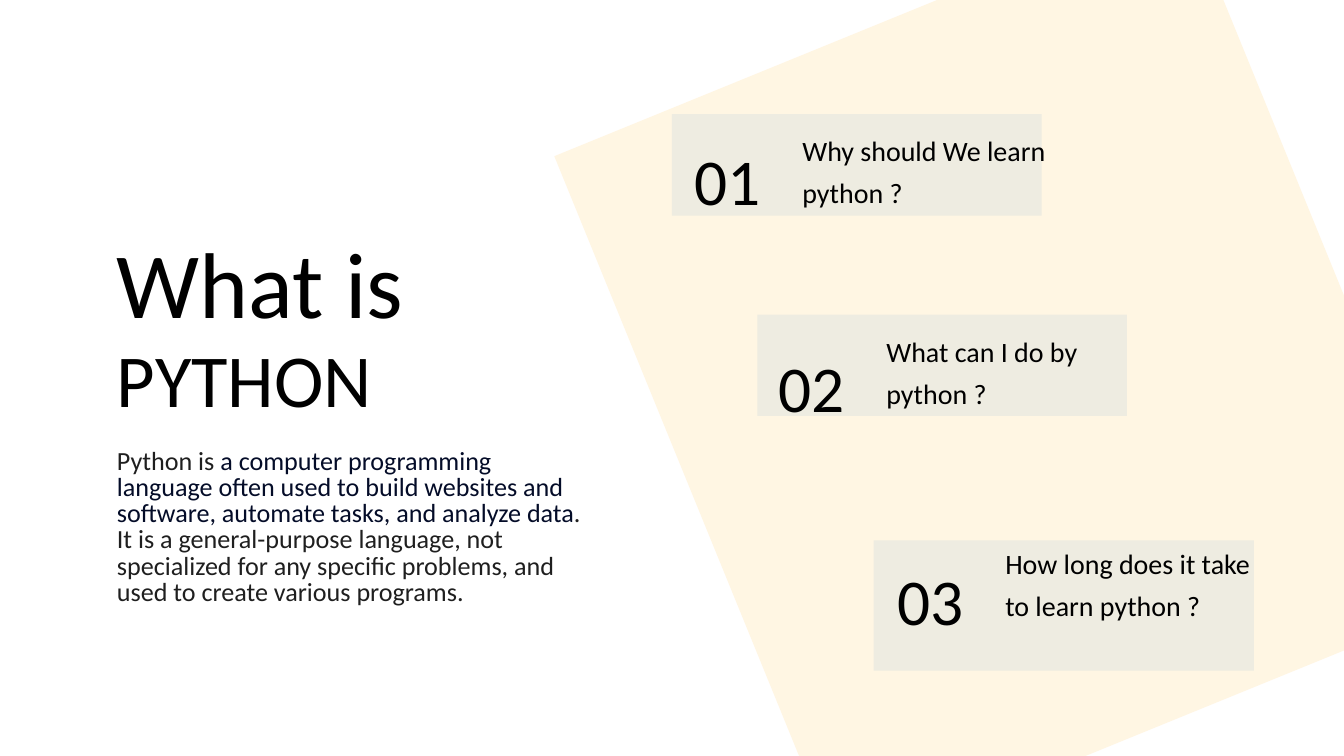
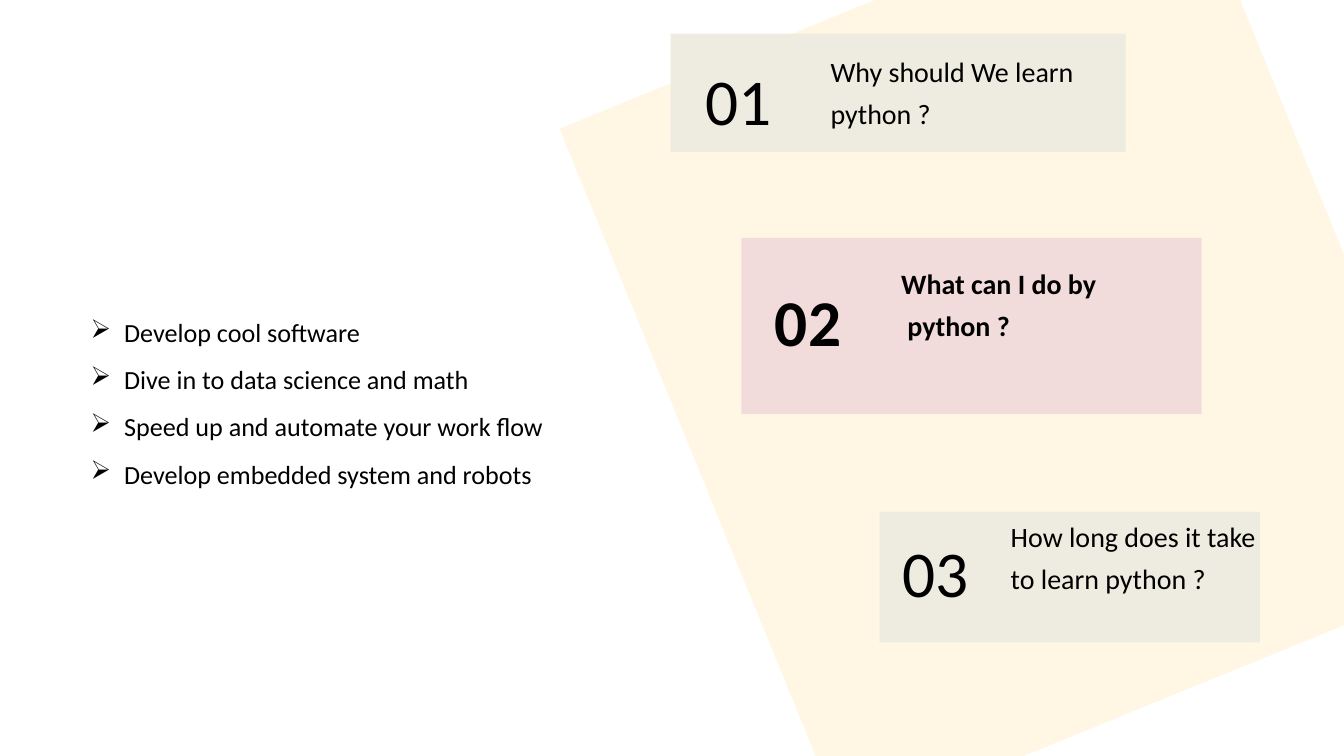
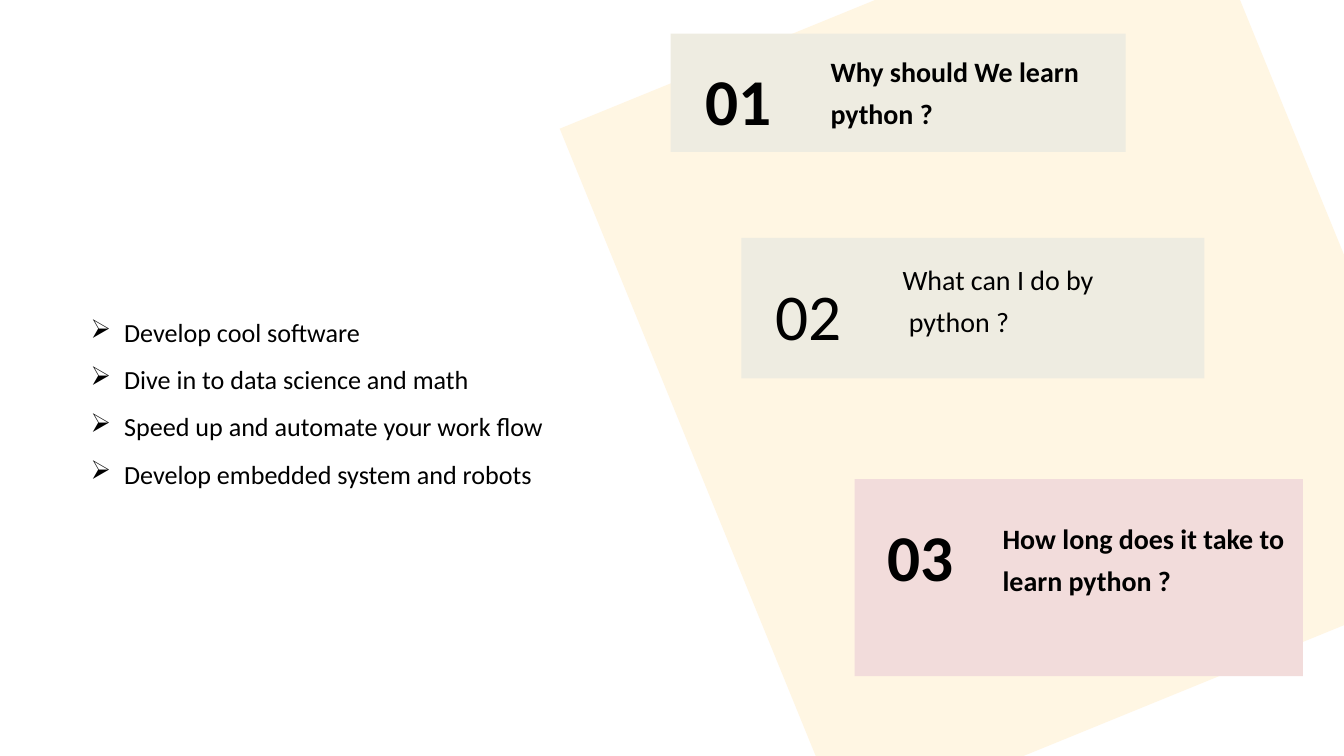
import pptx
import pptx.util
import pptx.dml.color
import pptx.enum.shapes
import pptx.enum.text
import pptx.oxml.ns
import lxml.etree

Pt = pptx.util.Pt
LEFT = pptx.enum.text.PP_ALIGN.LEFT
CENTER = pptx.enum.text.PP_ALIGN.CENTER

COLORS = {
    "text": "000000",
    "body": "1F1F1F",
    "accent": "040C28",
    "backdrop": "FFF6E3",
    "panel": "EEECE1",
    "active": "F2DCDB",
}
FONT = "Calibri"
TITLE_ONLY, BLANK = 5, 6
SPACE = 6.8  # width of one word space in a question, in points

WHY = ["Why should We learn python ?"]
WHAT = ["What can I do by", "python ?"]
HOW_LONG = ["How long does it take to learn python ?"]
USES = [
    "Develop cool software",
    "Dive in to data science and math",
    "Speed up and automate your work flow",
    "Develop embedded system and robots",
]


class Deck:
    """Holds the shared style and the current slide."""

    def __init__(self):
        self.file = pptx.Presentation()
        self.file.slide_width, self.file.slide_height = Pt(1440), Pt(810)
        self.page = None

    def new_page(self, layout, backdrop_left, backdrop_top):
        self.page = self.file.slides.add_slide(self.file.slide_layouts[layout])
        self.backdrop(backdrop_left, backdrop_top)

    def paint(self, shape, color):
        shape.shadow.inherit = False
        shape.fill.solid()
        shape.fill.fore_color.rgb = pptx.dml.color.RGBColor.from_string(COLORS[color])
        shape.line.fill.background()

    def backdrop(self, left, top, width=727, height=810):
        """Tilted sheet behind the cards."""
        builder = self.page.shapes.build_freeform(Pt(left), Pt(top))
        right, bottom = left + width, top + height
        corners = [(right, top), (right, bottom), (left, bottom)]
        builder.add_line_segments([(Pt(x), Pt(y)) for x, y in corners], close=True)
        sheet = builder.convert_to_shape()
        sheet.rotation = 337.8
        self.paint(sheet, "backdrop")

    def style_span(self, span, size, color="text", bold=False):
        span.font.name, span.font.size, span.font.bold = FONT, Pt(size), bold
        span.font.color.rgb = pptx.dml.color.RGBColor.from_string(COLORS[color])

    def add_span(self, para, text, size, color):
        span = para.add_run()
        span.text = text
        self.style_span(span, size, color)

    def fill_frame(self, frame, lines, size, spacing, color="text", bold=False,
                   align=LEFT, margin=0):
        frame.word_wrap = True
        frame.auto_size = pptx.enum.text.MSO_AUTO_SIZE.SHAPE_TO_FIT_TEXT
        frame.vertical_anchor = pptx.enum.text.MSO_ANCHOR.TOP
        frame.margin_left = frame.margin_right = Pt(margin)
        frame.margin_top = frame.margin_bottom = Pt(margin / 2)
        frame.text = "\n".join(lines)
        for para in frame.paragraphs:
            para.alignment, para.line_spacing = align, spacing
            for span in para.runs:
                self.style_span(span, size, color, bold)

    def title(self, text, at, size, spacing):
        box = self.page.shapes.title
        box.left, box.top, box.width, box.height = map(Pt, at)
        self.fill_frame(box.text_frame, [text], size, Pt(spacing))

    def text(self, lines, at, size, spacing, shapes=None, **style):
        box = (shapes or self.page.shapes).add_textbox(*map(Pt, at))
        self.fill_frame(box.text_frame, lines, size, spacing, **style)
        return box.text_frame.paragraphs

    def indent(self, para, left, first=0):
        properties = para._p.get_or_add_pPr()
        properties.set("marL", str(int(Pt(left))))
        properties.set("indent", str(int(Pt(first))))
        return properties

    def bullets(self, lines, at):
        for para in self.text(lines, at, 28, 1.5, margin=7.2):
            properties = self.indent(para, 36, -36)
            bullet = lxml.etree.SubElement(properties, pptx.oxml.ns.qn("a:buChar"))
            bullet.set("char", "➢")

    def card(self, number, question, panel_at, number_at, label_at,
             color="panel", bold=False):
        """Numbered question; number_at and label_at are left, top, width."""
        shapes = self.page.shapes.add_group_shape().shapes
        rectangle = pptx.enum.shapes.MSO_SHAPE.RECTANGLE
        self.paint(shapes.add_shape(rectangle, *map(Pt, panel_at)), color)
        self.text([number], (*number_at, 98), 70, Pt(105), shapes,
                  bold=bold, align=CENTER)
        paras = self.text(question, (*label_at, 88), 30, Pt(45), shapes, bold=bold)
        for para in paras[1:]:
            self.indent(para, SPACE)


def introduction(deck):
    deck.new_page(TITLE_ONLY, 720, 0)
    # Heading and description
    deck.title("What is", (125.3, 255.6, 449.3, 109.4), 100, 106)
    deck.text(["PYTHON"], (125.3, 372.2, 532, 82), 80, Pt(80))
    first, _ = deck.text(
        ["Python is ",
         "It is a general-purpose language, not specialized for any specific "
         "problems, and used to create various programs."],
        (125.3, 481.7, 506.9, 198), 28, Pt(28), color="body")
    deck.add_span(first, "a computer programming language often used to build "
                  "websites and software, automate tasks, and analyze data", 28, "accent")
    deck.add_span(first, ".", 28, "body")
    # Questions
    deck.card("01", WHY, (720, 122.4, 396, 108.7),
              (720, 128.9, 118.8), (859.7, 133.9, 282.2))
    deck.card("02", [" ".join(WHAT)], (811.4, 337, 396, 108.7),
              (810, 351.4, 118.8), (949.7, 349.9, 282.2))
    deck.card("03", HOW_LONG, (936, 578.9, 407.5, 139.7),
              (937.4, 578.9, 118.8), (1077.1, 576.7, 282.2))


def uses_page(deck, why_bold):
    """Page with the first question and the list of uses."""
    deck.new_page(BLANK, 725.8, -29.5)
    deck.card("01", WHY, (718.6, 36, 487.4, 126.7),
              (718.6, 43.9, 146.2), (889.9, 49.7, 347.8), bold=why_bold)
    deck.bullets(USES, (90, 319, 806.4, 235.4))


def what_can_i_do(deck):
    uses_page(deck, why_bold=False)
    deck.card("02", WHAT, (794.2, 254.9, 493.2, 188.6),
              (792, 280.1, 147.6), (965.5, 276.5, 351.4), "active", bold=True)
    deck.card("03", HOW_LONG, (942.5, 548.6, 407.5, 139.7),
              (943.2, 549.4, 118.8), (1082.9, 547.2, 282.2))


def how_long(deck):
    uses_page(deck, why_bold=True)
    deck.card("02", WHAT, (794.2, 254.9, 496.1, 150.5),
              (792, 274.3, 148.3), (967, 272.2, 353.5))
    deck.card("03", HOW_LONG, (915.8, 513.4, 480.2, 211),
              (916.6, 532.1, 139.7), (1074.2, 549.4, 331.9), "active", bold=True)


def main():
    deck = Deck()
    introduction(deck)
    what_can_i_do(deck)
    how_long(deck)
    deck.file.save("out.pptx")


if __name__ == "__main__":
    main()
